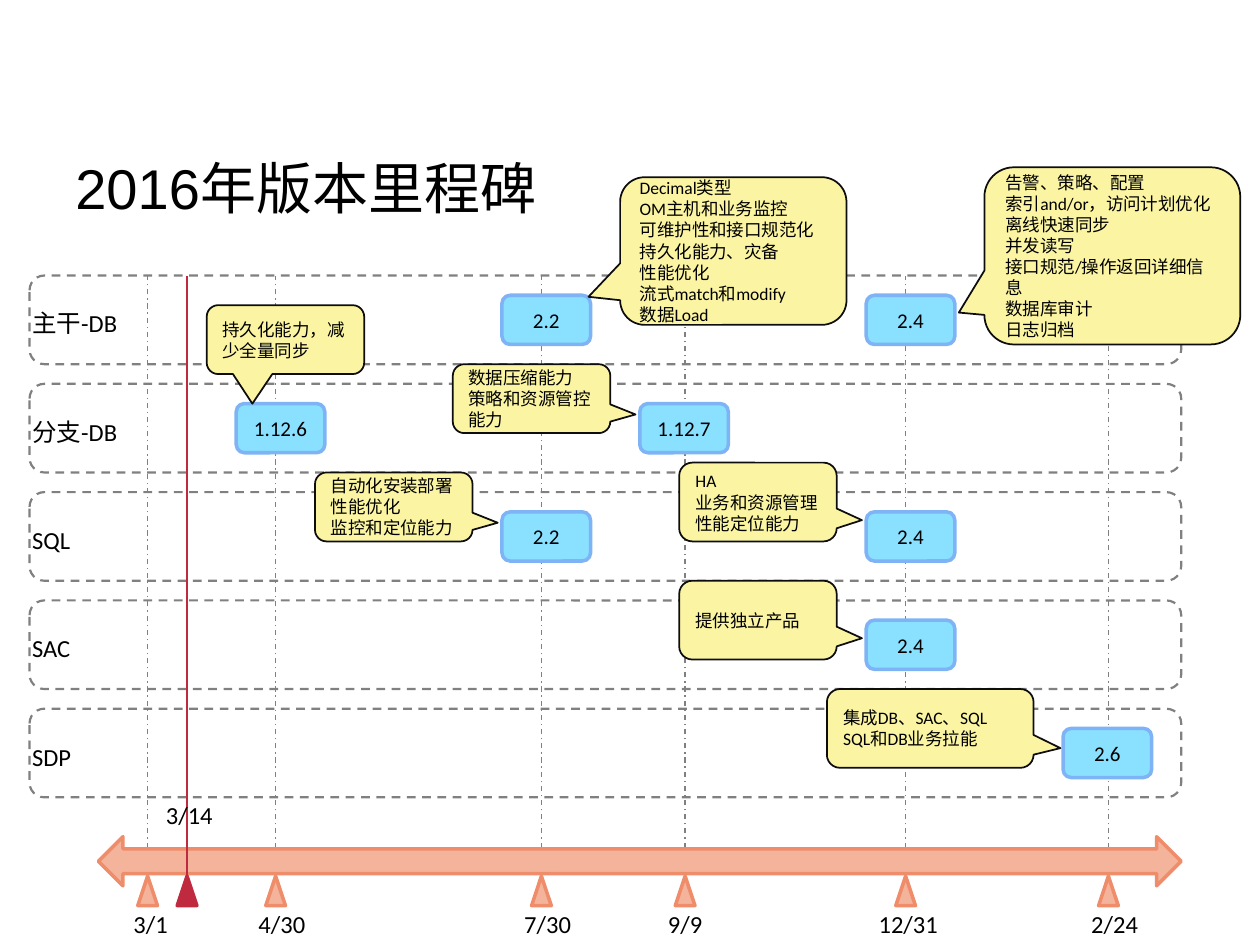
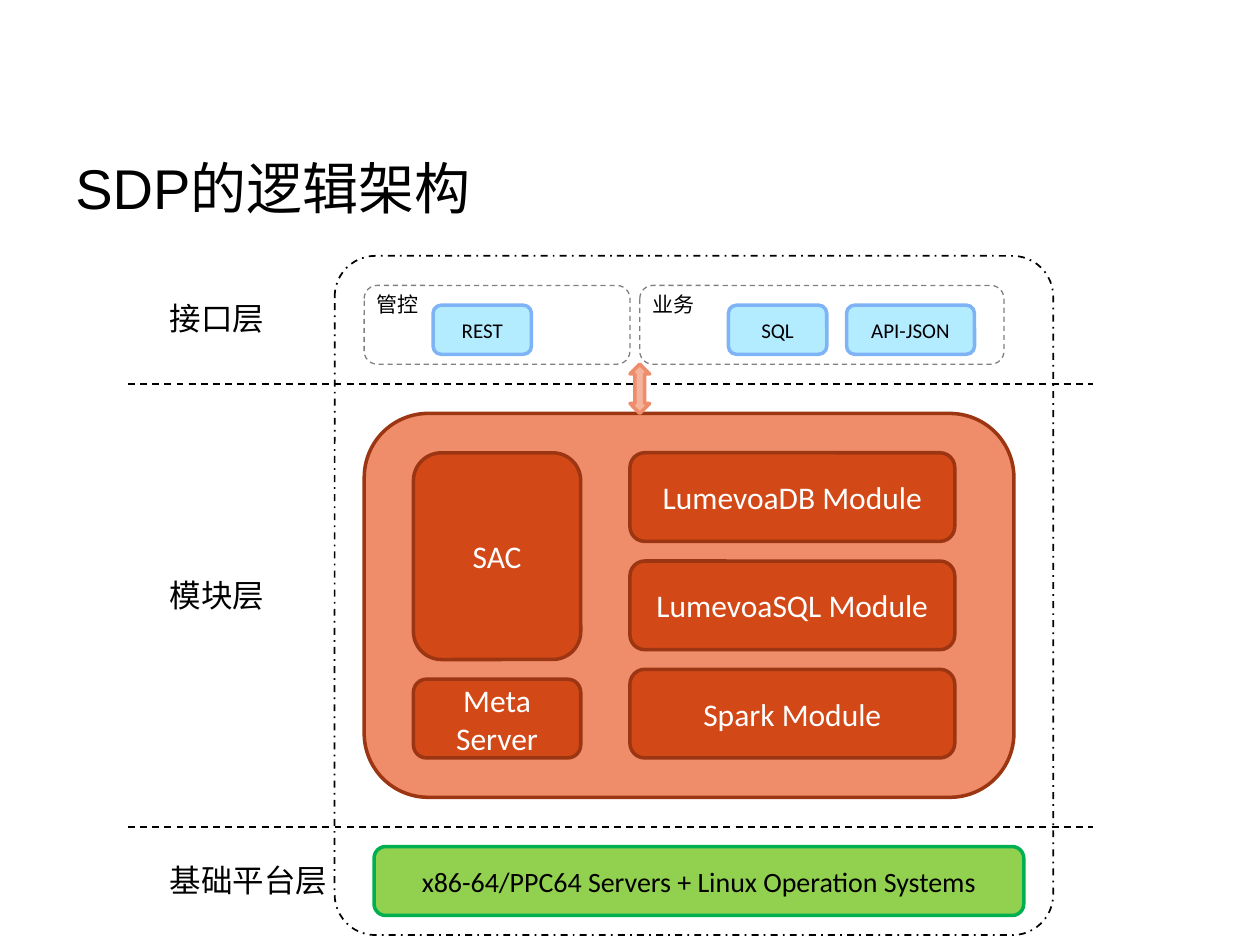
from dataclasses import dataclass

from lxml.etree import SubElement
from pptx import Presentation
from pptx.dml.color import RGBColor
from pptx.enum.dml import MSO_LINE as Dash
from pptx.enum.shapes import MSO_CONNECTOR, MSO_SHAPE as Preset
from pptx.enum.text import MSO_ANCHOR as Anchor, MSO_AUTO_SIZE as AutoSize, PP_ALIGN as Align
from pptx.oxml.ns import qn
from pptx.util import Pt

PX = 914400 / 128
SLIDE_SIZE = (1280, 960)


@dataclass(frozen=True)
class Theme:
    title_font: str = "Arial"
    body_font: str = "Calibri"
    title_size: int = 32
    heading_size: int = 18
    platform_size: int = 16
    label_size: int = 14
    box_size: int = 12
    note_size: int = 10
    black: str = "000000"
    white: str = "FFFFFF"
    grey: str = "808080"
    blue: str = "89E0FF"
    pale_blue: str = "B3EBFF"
    blue_edge: str = "7EB4F6"
    peach: str = "F4B39B"
    orange: str = "EF8C6A"
    rust: str = "D34817"
    rust_edge: str = "9C3511"
    yellow: str = "FBF5A3"
    note_edge: str = "0D0D0D"
    red: str = "C02A3F"
    green: str = "92D050"
    green_edge: str = "00B050"


THEME = Theme()

# Milestone slide
MILESTONE_TITLE = "2016年版本里程碑"
TRACKS = ["主干-DB", "分支-DB", "SQL", "SAC", "SDP"]
TRACK_LABEL_WIDTHS = [113, 113, 65, 65, 65]
TRACK_LEFT, TRACK_TOP, TRACK_WIDTH, TRACK_HEIGHT, TRACK_STEP = 30, 280, 1170, 90, 110
AXIS_Y = 890
DATES = [  # date, centre, label left, label width
    ("3/1", 150, 123, 61),
    ("4/30", 280, 250, 74),
    ("7/30", 550, 520, 74),
    ("9/9", 696, 666, 61),
    ("12/31", 920, 880, 87),
    ("2/24", 1126, 1096, 74),
]
TODAY = ("3/14", 190)
RELEASES = [  # track, left, version
    (0, 510, "2.2"), (0, 880, "2.4"),
    (1, 240, "1.12.6"), (1, 650, "1.12.7"),
    (2, 510, "2.2"), (2, 880, "2.4"),
    (3, 880, "2.4"),
    (4, 1080, "2.6"),
]
SIDE_POINTER = (0.66, 0.23)
NOTES = [  # box, pointer tip, lines
    ((210, 310, 160, 70), (-0.21, 0.93), ["持久化能力，减少全量同步"]),
    ((630, 180, 230, 150), (-0.64, 0.31),
     ["Decimal类型", "OM主机和业务监控", "可维护性和接口规范化", "持久化能力、灾备",
      "性能优化", "流式match和modify", "数据Load"]),
    ((1000, 170, 260, 180), (-0.6, 0.32),
     ["告警、策略、配置", "索引and/or，访问计划优化", "离线快速同步", "并发读写",
      "接口规范/操作返回详细信息", "数据库审计", "日志归档"]),
    ((460, 370, 160, 70), SIDE_POINTER, ["数据压缩能力", "策略和资源管控能力"]),
    ((320, 480, 160, 70), SIDE_POINTER, ["自动化安装部署", "性能优化", "监控和定位能力"]),
    ((690, 470, 160, 80), SIDE_POINTER, ["HA", "业务和资源管理", "性能定位能力"]),
    ((690, 590, 160, 80), SIDE_POINTER, ["提供独立产品"]),
    ((840, 700, 210, 80), (0.63, 0.25), ["集成DB、SAC、SQL", "SQL和DB业务拉能"]),
]

# Architecture slide
ARCHITECTURE_TITLE = "SDP的逻辑架构"
LAYERS = [("接口层", 298, 123), ("模块层", 579, 123), ("基础平台层", 868, 187)]  # top, width
LAYER_BORDERS = [390, 840]
INTERFACE_GROUPS = [("管控", 370, 270), ("业务", 650, 370)]  # left, width
INTERFACES = [("REST", 440, 100), ("SQL", 740, 100), ("API-JSON", 860, 130)]
MODULES = ["LumevoaDB Module", "LumevoaSQL Module", "Spark Module"]
MODULE_BOXES = [("SAC", (420, 460, 170, 210)), ("Meta Server", (420, 690, 170, 80))]
MODULE_BOXES += [(name, (640, 460 + 110 * i, 330, 90)) for i, name in enumerate(MODULES)]
PLATFORM = "x86-64/PPC64 Servers + Linux Operation Systems"


def emu(*lengths):
    return [round(length * PX) for length in lengths]


def color(value):
    return RGBColor.from_string(value)


def write(shape, lines, size, ink=THEME.black, align=Align.LEFT, anchor=Anchor.MIDDLE,
          font=THEME.body_font):
    frame = shape.text_frame
    frame.vertical_anchor = anchor
    for i, line in enumerate(lines):
        paragraph = frame.paragraphs[0] if i == 0 else frame.add_paragraph()
        paragraph.alignment = align
        run = paragraph.add_run()
        run.text = line
        run.font.name = font
        run.font.size = Pt(size)
        run.font.color.rgb = color(ink)


def set_line(line, ink, width, dash=None):
    line.color.rgb = color(ink)
    line.width = Pt(width)
    if dash:
        line.dash_style = dash


def add_shape(slide, box, preset=Preset.ROUNDED_RECTANGLE, fill=None, edge=THEME.black,
              width=2, dash=None, adjust=()):
    shape = slide.shapes.add_shape(preset, *emu(*box))
    shape.shadow.inherit = False
    if fill:
        shape.fill.solid()
        shape.fill.fore_color.rgb = color(fill)
    else:
        shape.fill.background()
    set_line(shape.line, edge, width, dash)
    for i, value in enumerate(adjust):
        shape.adjustments[i] = value
    return shape


def add_box(slide, text, box, fill, edge, size, ink=THEME.black):
    shape = add_shape(slide, box, fill=fill, edge=edge)
    write(shape, [text], size, ink, align=Align.CENTER)


def add_label(slide, text, box, size):
    label = slide.shapes.add_textbox(*emu(*box))
    label.text_frame.word_wrap = False
    label.text_frame.auto_size = AutoSize.SHAPE_TO_FIT_TEXT
    write(label, [text], size, anchor=Anchor.TOP)


def add_line(slide, start, end, ink, width, dash=None):
    connector = slide.shapes.add_connector(MSO_CONNECTOR.STRAIGHT, *emu(*start, *end))
    set_line(connector.line, ink, width, dash)
    SubElement(connector._element.spPr, qn("a:effectLst"))


def add_marker(slide, center, fill, edge):
    add_shape(slide, (center - 10, AXIS_Y, 20, 30), Preset.ISOSCELES_TRIANGLE, fill, edge)


def add_titled_slide(presentation, title):
    slide = presentation.slides.add_slide(presentation.slide_layouts[6])
    box = slide.shapes.add_textbox(*emu(64, 110, 1152, 160))
    box.text_frame.word_wrap = True
    write(box, [title], THEME.title_size, font=THEME.title_font)
    return slide


def build_milestones(presentation):
    slide = add_titled_slide(presentation, MILESTONE_TITLE)
    for date, center, label_left, label_width in DATES:
        add_line(slide, (center, AXIS_Y), (center, TRACK_TOP), THEME.grey, 0.75, Dash.DASH_DOT)
        add_label(slide, date, (label_left, 917, label_width, 43), THEME.label_size)
        add_marker(slide, center, THEME.peach, THEME.orange)
    track_tops = [TRACK_TOP + TRACK_STEP * i for i in range(len(TRACKS))]
    for name, top, label_width in zip(TRACKS, track_tops, TRACK_LABEL_WIDTHS):
        add_shape(slide, (TRACK_LEFT, top, TRACK_WIDTH, TRACK_HEIGHT),
                  edge=THEME.grey, width=1.25, dash=Dash.DASH)
        add_label(slide, name, (20, top + 27, label_width, 43), THEME.label_size)
    add_shape(slide, (100, 850, 1100, 50), Preset.LEFT_RIGHT_ARROW, THEME.peach, THEME.orange)
    for track, left, version in RELEASES:
        add_box(slide, version, (left, track_tops[track] + 20, 90, 50),
                THEME.blue, THEME.blue_edge, THEME.box_size)
    for box, pointer, lines in NOTES:
        note = add_shape(slide, box, Preset.ROUNDED_RECTANGULAR_CALLOUT, THEME.yellow,
                         THEME.note_edge, 1, adjust=pointer)
        write(note, lines, THEME.note_size)
    today, center = TODAY
    add_line(slide, (center, AXIS_Y), (center, TRACK_TOP), THEME.red, 1)
    add_marker(slide, center, THEME.red, THEME.red)
    add_label(slide, today, (center - 34, 806, 74, 43), THEME.label_size)


def build_architecture(presentation):
    slide = add_titled_slide(presentation, ARCHITECTURE_TITLE)
    add_shape(slide, (370, 420, 660, 390), fill=THEME.orange, edge=THEME.rust_edge)
    for name, box in MODULE_BOXES:
        add_box(slide, name, box, THEME.rust, THEME.rust_edge, THEME.heading_size, THEME.white)
    for name, left, width in INTERFACE_GROUPS:
        add_shape(slide, (left, 290, width, 80), edge=THEME.grey, width=0.75, dash=Dash.DASH)
        add_label(slide, name, (left, 290, 69, 38), THEME.box_size)
    for name, left, width in INTERFACES:
        add_box(slide, name, (left, 310, width, 50),
                THEME.pale_blue, THEME.blue_edge, THEME.box_size)
    for y in LAYER_BORDERS:
        add_line(slide, (130, y), (1110, y), THEME.black, 1, Dash.DASH)
    for name, top, width in LAYERS:
        add_label(slide, name, (160, top, width, 51), THEME.heading_size)
    add_shape(slide, (640, 370, 20, 50), Preset.UP_DOWN_ARROW, THEME.peach, THEME.orange)
    add_box(slide, PLATFORM, (380, 860, 660, 70),
            THEME.green, THEME.green_edge, THEME.platform_size)
    add_shape(slide, (340, 260, 730, 690), width=1, dash=Dash.DASH_DOT, adjust=[0.06])


def main():
    presentation = Presentation()
    presentation.slide_width, presentation.slide_height = emu(*SLIDE_SIZE)
    build_milestones(presentation)
    build_architecture(presentation)
    presentation.save("out.pptx")


if __name__ == "__main__":
    main()
